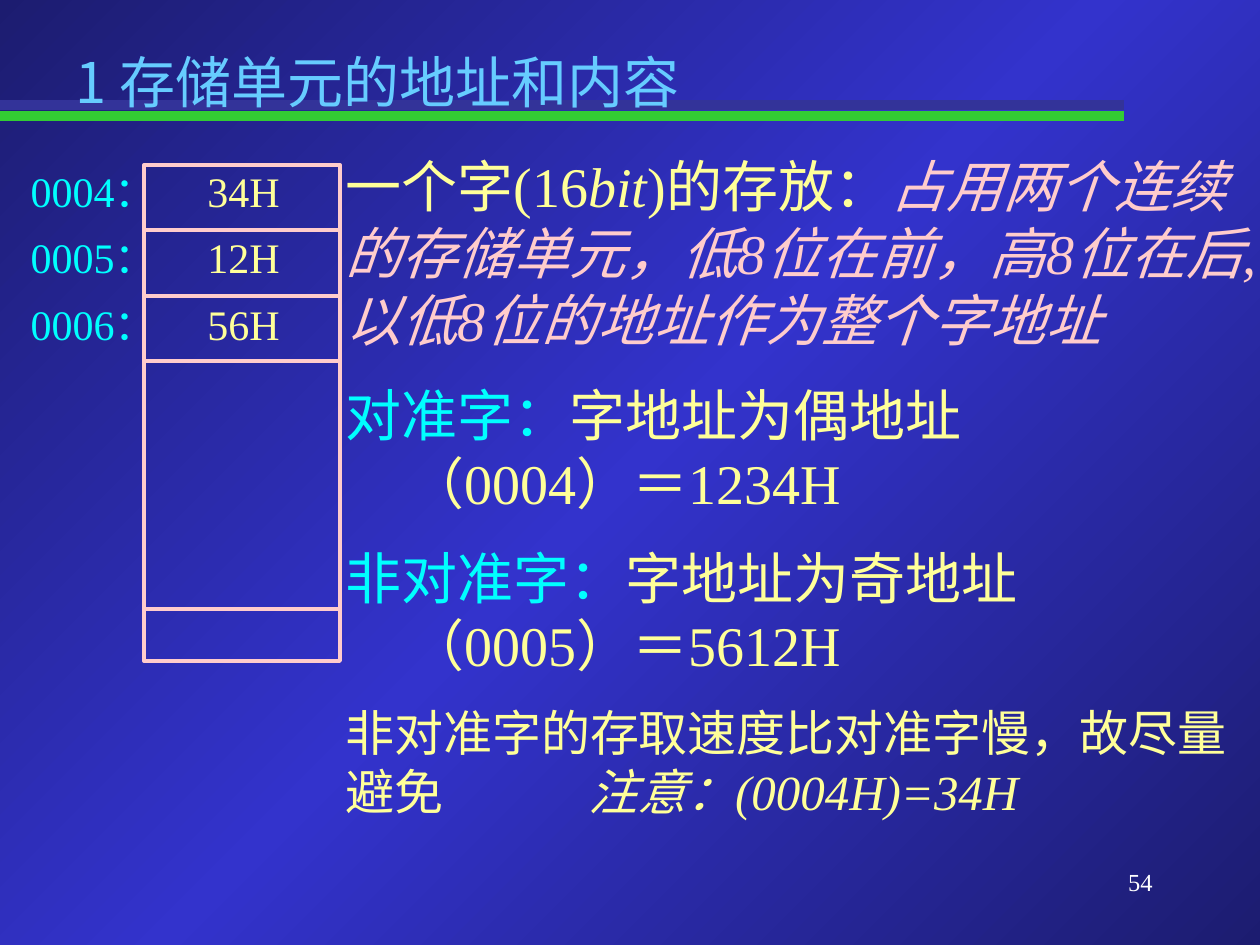
from copy import deepcopy

from lxml import etree
from pptx import Presentation
from pptx.dml.color import RGBColor
from pptx.enum.shapes import MSO_CONNECTOR, MSO_SHAPE
from pptx.enum.text import MSO_ANCHOR, PP_ALIGN
from pptx.oxml.ns import qn
from pptx.util import Emu, Pt

LINE, RECT = MSO_CONNECTOR.STRAIGHT, MSO_SHAPE.RECTANGLE
LEFT, MID, RIGHT = PP_ALIGN.LEFT, PP_ALIGN.CENTER, PP_ALIGN.RIGHT
NAVY = RGBColor(0x1C, 0x1C, 0x70)
BLUE = RGBColor(0x33, 0x33, 0xCC)
DUSK = RGBColor(0x33, 0x33, 0x99)
GREEN = RGBColor(0x33, 0xCC, 0x33)
SKY = RGBColor(0x66, 0xCC, 0xFF)
CYAN = RGBColor(0x00, 0xFF, 0xFF)
PINK = RGBColor(0xFF, 0xCC, 0xCC)
CREAM = RGBColor(0xFF, 0xFF, 0x99)
WHITE = RGBColor(0xFF, 0xFF, 0xFF)
SERIF, SANS = "Times New Roman", "Noto Sans CJK SC"


def px(n):
    return Emu(round(n * 914400 / 126))


def paint(slide):
    """Fill the background with a dark, bright, dark diagonal gradient."""
    fill = slide.background.fill
    fill.gradient()
    fill.gradient_angle = 315
    stops = slide.element.find(".//" + qn("a:gsLst"))
    stops.append(deepcopy(stops[-1]))
    for stop, spot, tone in zip(fill.gradient_stops, (0, 0.5, 1),
                                (NAVY, BLUE, NAVY)):
        stop.position = spot
        stop.color.rgb = tone


def rule(shapes, x, y, width, color, weight):
    """Draw a flat line without a shadow."""
    line = shapes.add_connector(LINE, px(x), px(y), px(x + width), px(y))
    line.line.color.rgb = color
    line.line.width = Pt(weight)
    etree.SubElement(line.element.spPr, qn("a:effectLst"))


def write(par, text, **form):
    """Add a run; each newline becomes a line break."""
    look = {"name": SERIF, "size": Pt(32), "italic": False} | form
    tone = look.pop("color", CREAM)
    for i, part in enumerate(text.split("\n")):
        if i:
            par.add_line_break()
        run = par.add_run()
        run.text = part
        for key, value in look.items():
            setattr(run.font, key, value)
        run.font.color.rgb = tone
        east = etree.SubElement(run.font.fill and run.font._element, qn("a:ea"))
        east.set("typeface", SANS)


def space(par):
    """Leave half a line before the paragraph."""
    par.space_before = Pt(0)
    gap = par._p.pPr.find(qn("a:spcBef"))
    gap.remove(gap[0])
    etree.SubElement(gap, qn("a:spcPct"), val="50000")


def stop_at(par, x):
    """Set one tab stop, x from the text edge."""
    tabs = etree.SubElement(par._p.get_or_add_pPr(), qn("a:tabLst"))
    etree.SubElement(tabs, qn("a:tab"), pos=str(px(x)), algn="l")


def box(shapes, area, rows, align=LEFT, lead=None, gap=True):
    """Place text; each row is a list of (text, format) runs."""
    frame = shapes.add_textbox(*map(px, area)).text_frame
    frame.word_wrap = True
    for i, row in enumerate(rows):
        par = frame.add_paragraph() if i else frame.paragraphs[0]
        par.alignment = align
        if lead:
            par.line_spacing = lead
        if gap:
            space(par)
        for text, form in row:
            write(par, text, **form)
    return frame


def memory(shapes):
    x, top, width = 144, 165, 196
    cells = 230, 296, 609, 361
    frame = shapes.add_shape(RECT, px(x), px(top), px(width), px(496))
    frame.shadow.inherit = False
    frame.fill.background()
    frame.line.color.rgb = PINK
    frame.line.width = Pt(2.25)
    for shift, weight in ((0, 2.25), (2, 0.75)):
        for y in cells:
            rule(shapes, x + shift, y, width, PINK, weight)
    size = Pt(24)
    data = [[(t, {"size": size})] for t in ("34H", "12H", "56H")]
    box(shapes, (154, top, 179, 199), data, MID, 0.9)
    names = [[(f"000{n}：", {"size": size, "color": CYAN})]
             for n in (4, 5, 6)]
    box(shapes, (-54, top, 223, 199), names, RIGHT, 0.9)


def notes(shapes):
    cyan, small = {"color": CYAN}, {"size": Pt(28)}
    rows = [
        [("一个字(16", {}), ("bit", {"italic": True}), (")的存放：", {}),
         ("占用两个连续的存储单元，低8位在前，高8位在后,以低8位的地址作为整个字地址",
          {"color": PINK, "italic": True})],
        [("对准字：", cyan), ("字地址为偶地址\n\t（0004）＝1234H", {})],
        [("非对准字：", cyan), ("字地址为奇地址\n\t（0005）＝5612H", {})],
        [("非对准字的存取速度比对准字慢，故尽量避免\t", small),
         ("注意：(0004H)=34H", small | {"italic": True})],
    ]
    frame = box(shapes, (333, 145, 927, 697), rows)
    stop_at(frame.paragraphs[-1], 243)


def head(slide):
    title = slide.shapes.title
    title.left, title.top, title.width, title.height = map(
        px, (63, 38, 1102, 87))
    frame = title.text_frame
    frame.vertical_anchor = MSO_ANCHOR.MIDDLE
    par = frame.paragraphs[0]
    par.alignment = LEFT
    write(par, "1 存储单元的地址和内容", name=SANS, color=SKY)
    slide.shapes.element.append(title.element)


def main():
    deck = Presentation()
    deck.slide_width, deck.slide_height = px(1260), px(945)
    slide = deck.slides.add_slide(deck.slide_layouts[5])
    shapes = slide.shapes
    paint(slide)
    for y, tone in ((116, GREEN), (105, DUSK)):
        rule(shapes, 0, y, 1124, tone, 5.5)
    page = [[("54", {"size": Pt(14), "color": WHITE})]]
    box(shapes, (903, 861, 262, 63), page, RIGHT, gap=False)
    head(slide)
    memory(shapes.add_group_shape().shapes)
    notes(shapes)
    deck.save("out.pptx")


if __name__ == "__main__":
    main()
